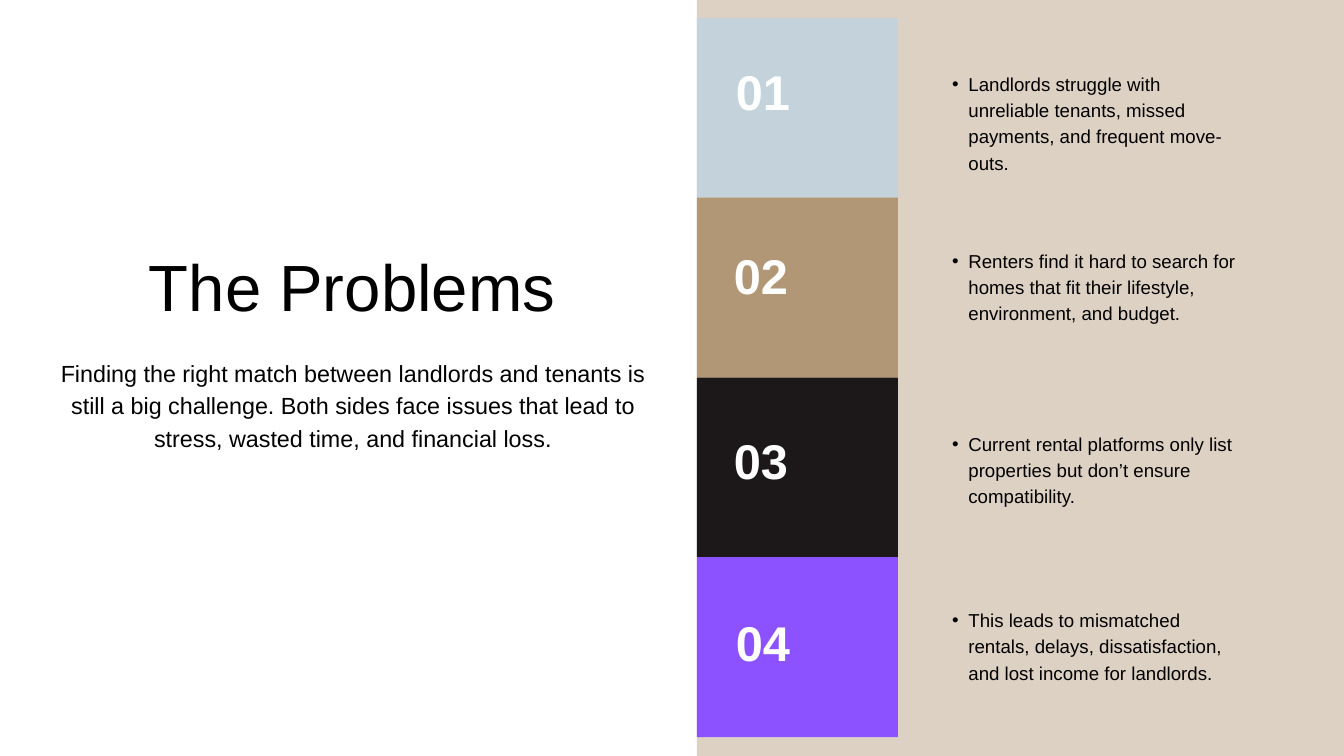
from lxml import etree
from pptx import Presentation
from pptx.dml.color import RGBColor
from pptx.enum.shapes import MSO_SHAPE
from pptx.enum.text import MSO_ANCHOR, MSO_AUTO_SIZE, PP_ALIGN
from pptx.oxml.ns import qn
from pptx.util import Emu, Pt

RECTANGLE = MSO_SHAPE.RECTANGLE
TOP = MSO_ANCHOR.TOP
GROW = MSO_AUTO_SIZE.SHAPE_TO_FIT_TEXT
LEFT, CENTER = PP_ALIGN.LEFT, PP_ALIGN.CENTER
TITLE_ONLY = 5
PX_PER_INCH = 100

HEADING = {"size": 70, "leading": 72.8, "align": CENTER, "color": "000000", "bold": False}
SUMMARY = {"size": 25, "leading": 35, "align": CENTER, "color": "000000", "bold": False}
NUMBER = {"size": 52.2, "leading": 54.2, "align": LEFT, "color": "FFFFFF", "bold": True}
PROBLEM = {"size": 20, "leading": 28, "align": LEFT, "color": "000000", "bold": False}

PROBLEMS = [
    ("C3D2DB", 58, 76, 76,
     "Landlords struggle with unreliable tenants, missed payments, and frequent move-outs."),
    ("B29776", 55, 84, 72,
     "Renters find it hard to search for homes that fit their lifestyle, environment, and budget."),
    ("1C181A", 55, 91, 76,
     "Current rental platforms only list properties but don’t ensure compatibility."),
    ("8C52FF", 58, 95, 72,
     "This leads to mismatched rentals, delays, dissatisfaction, and lost income for landlords."),
]


def px(length):
    return Emu(length * 914400 // PX_PER_INCH)


def rgb(value):
    return RGBColor.from_string(value)


def add_block(slide, left, top, width, height, color):
    block = slide.shapes.add_shape(RECTANGLE, px(left), px(top), px(width), px(height))
    block.shadow.inherit = False
    block.fill.solid()
    block.fill.fore_color.rgb = rgb(color)
    block.line.fill.background()


def add_bullet(paragraph):
    paragraph.level = 1
    properties = paragraph._p.get_or_add_pPr()
    properties.set("marL", str(px(47)))
    properties.set("indent", str(px(-24)))
    etree.SubElement(properties, qn("a:buFont")).set("typeface", "Arial")
    etree.SubElement(properties, qn("a:buChar")).set("char", "•")


def write(holder, text, style, bulleted=False):
    frame = holder.text_frame
    frame.text = text
    settings = {"margin_left": 0, "margin_top": 0, "margin_right": 0, "margin_bottom": 0,
                "word_wrap": True, "vertical_anchor": TOP, "auto_size": GROW}
    for name, value in settings.items():
        setattr(frame, name, value)
    paragraph = frame.paragraphs[0]
    if bulleted:
        add_bullet(paragraph)
    paragraph.alignment = style["align"]
    paragraph.line_spacing = Pt(style["leading"])
    font = paragraph.runs[0].font
    for name, value in {"name": "Arial", "size": Pt(style["size"]), "bold": style["bold"]}.items():
        setattr(font, name, value)
    font.color.rgb = rgb(style["color"])


def add_text(slide, left, top, width, height, text, style, bulleted=False):
    box = slide.shapes.add_textbox(px(left), px(top), px(width), px(height))
    write(box, text, style, bulleted)


def add_introduction(slide, left, top):
    title = slide.shapes.title
    place = {"left": left + 120, "top": top, "width": 646, "height": 104}
    for name, value in place.items():
        setattr(title, name, px(value))
    write(title, "The Problems", HEADING)
    add_text(slide, left, top + 145, 888, 141,
             "Finding the right match between landlords and tenants is still a big challenge. "
             "Both sides face issues that lead to stress, wasted time, and financial loss.",
             SUMMARY)


def add_problems(slide, left, top, height):
    for row, (color, number_x, number_y, problem_y, problem) in enumerate(PROBLEMS):
        band_top = top + height * row // len(PROBLEMS)
        band_bottom = top + height * (row + 1) // len(PROBLEMS)
        add_block(slide, left, band_top, 299, band_bottom - band_top, color)
        add_text(slide, left + number_x, band_top + number_y, 183, 87, f"{row + 1:02}", NUMBER)
        add_text(slide, left + 357, band_top + problem_y, 461, 113, problem, PROBLEM, True)


def main():
    presentation = Presentation()
    presentation.slide_width = px(2000)
    presentation.slide_height = px(1125)
    slide = presentation.slides.add_slide(presentation.slide_layouts[TITLE_ONLY])
    slide.background.fill.solid()
    slide.background.fill.fore_color.rgb = rgb("FFFFFF")
    add_block(slide, 1037, -62, 1012, 1187, "DDD1C3")
    add_introduction(slide, 81, 382)
    add_problems(slide, 1037, 27, 1070)
    presentation.save("out.pptx")


if __name__ == "__main__":
    main()
